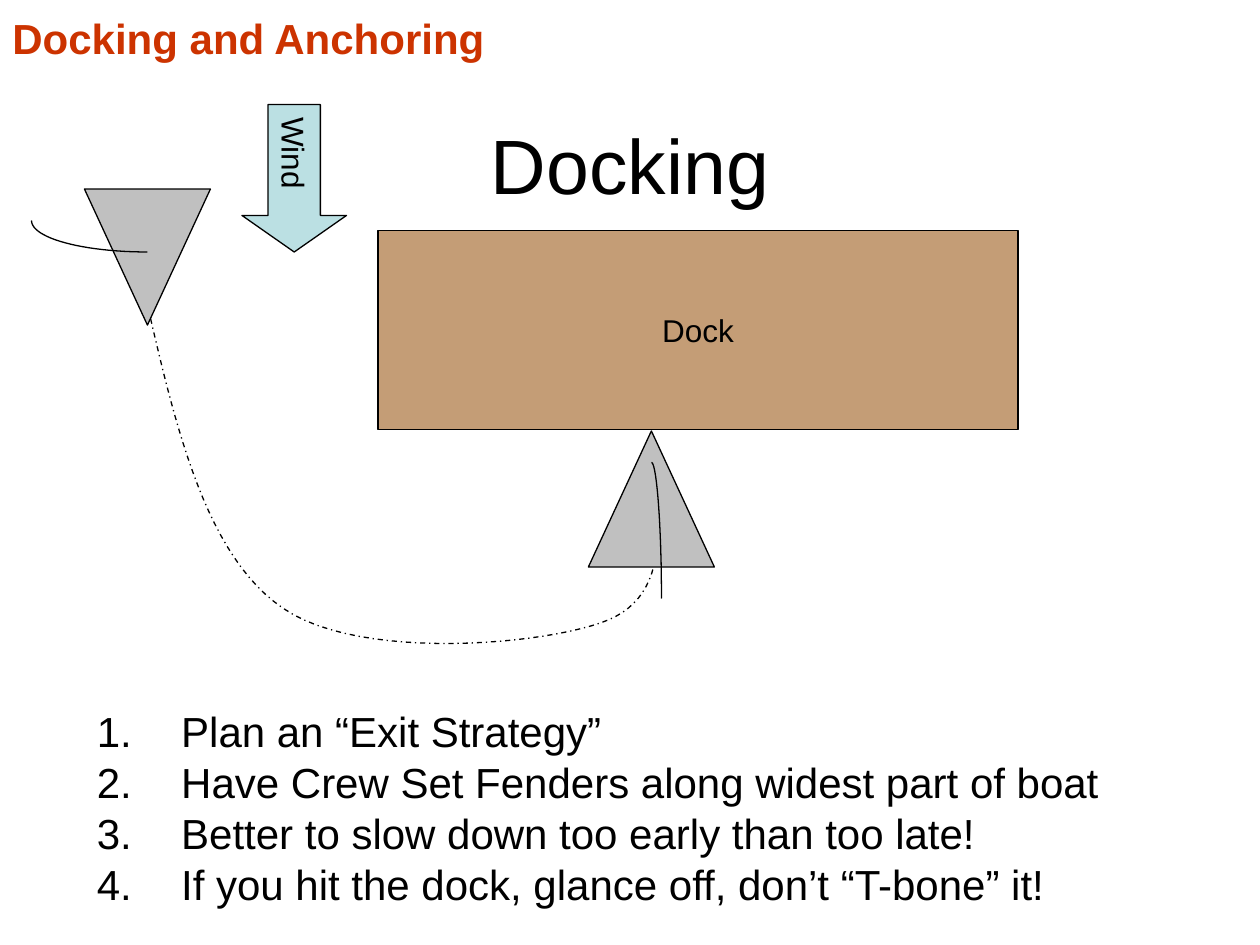
from dataclasses import dataclass

from lxml import etree
from pptx import Presentation
from pptx import util as u
from pptx.dml.color import RGBColor
from pptx.enum import dml, shapes, text
from pptx.oxml.ns import qn


@dataclass(frozen=True)
class Theme:
    font: str = "Arial"
    black: str = "000000"
    heading: str = "CC3300"
    dock: str = "C49D76"
    wind: str = "BBE0E3"
    boat: str = "C0C0C0"
    title_size: int = 44
    body_size: int = 24
    label_size: int = 18
    line_width: float = 0.75


THEME = Theme()
STEPS = [
    "Plan an “Exit Strategy”",
    "Have Crew Set Fenders along widest part of boat",
    "Better to slow down too early than too late!",
    "If you hit the dock, glance off, don’t “T-bone” it!",
]


def number_paragraph(paragraph, indent):
    properties = paragraph._p.get_or_add_pPr()
    properties.set("marL", str(u.Inches(indent)))
    properties.set("indent", str(-u.Inches(indent)))
    etree.SubElement(properties, qn("a:buFont"), typeface="+mj-lt")
    etree.SubElement(properties, qn("a:buAutoNum"), type="arabicPeriod")


def write_text(shape, lines, size, color=THEME.black, bold=False, align=text.PP_ALIGN.LEFT,
               anchor=text.MSO_ANCHOR.MIDDLE, wrap=True, numbered=False):
    frame = shape.text_frame
    frame.word_wrap = wrap
    frame.vertical_anchor = anchor
    for index, line in enumerate(lines):
        paragraph = frame.add_paragraph() if index else frame.paragraphs[0]
        paragraph.text = line
        paragraph.alignment = align
        if numbered:
            paragraph.line_spacing = 0.8
            paragraph.space_before = u.Pt(6 if index else 0)
            number_paragraph(paragraph, 0.67)
        font = paragraph.font
        font.name, font.size, font.bold = THEME.font, u.Pt(size), bold
        font.color.rgb = RGBColor.from_string(color)


def add_text(slide, box, lines, size, **text_format):
    shape = slide.shapes.add_textbox(*map(u.Inches, box))
    write_text(shape, lines, size, **text_format)


def outline(shape, dash=None):
    shape.shadow.inherit = False
    shape.line.color.rgb = RGBColor.from_string(THEME.black)
    shape.line.width = u.Pt(THEME.line_width)
    if dash:
        shape.line.dash_style = dash


def add_filled(slide, kind, box, fill, rotation=0):
    shape = slide.shapes.add_shape(kind, *map(u.Inches, box))
    shape.fill.solid()
    shape.fill.fore_color.rgb = RGBColor.from_string(fill)
    shape.rotation = rotation
    outline(shape)
    return shape


def bezier_points(start, control_1, control_2, end, steps=24):
    for step in range(1, steps + 1):
        t = step / steps
        weights = ((1 - t) ** 3, 3 * t * (1 - t) ** 2, 3 * t * t * (1 - t), t ** 3)
        corners = (start, control_1, control_2, end)
        yield tuple(u.Inches(sum(w * corner[axis] for w, corner in zip(weights, corners)))
                    for axis in (0, 1))


def add_curve(slide, start, segments, dash=None):
    builder = slide.shapes.build_freeform(*map(u.Inches, start))
    for segment in segments:
        builder.add_line_segments(bezier_points(start, *segment), close=False)
        start = segment[-1]
    shape = builder.convert_to_shape()
    shape.fill.background()
    outline(shape, dash)


def add_wind(slide):
    arrow = add_filled(slide, shapes.MSO_SHAPE.UP_ARROW, (1.92, 0.83, 0.83, 1.17),
                       THEME.wind, rotation=180)
    arrow.adjustments[0], arrow.adjustments[1] = 0.5, 0.35
    write_text(arrow, ["Wind"], THEME.label_size, align=text.PP_ALIGN.CENTER, wrap=False)
    frame = arrow.text_frame
    frame.margin_left = frame.margin_right = u.Inches(0.05)
    frame.margin_top = frame.margin_bottom = u.Inches(0.1)
    # Turn the label back so that it reads downwards
    body = frame._txBody.bodyPr
    body.set("rot", "10800000")
    body.set("vert", "eaVert")


def main():
    presentation = Presentation()
    presentation.slide_width, presentation.slide_height = u.Inches(10), u.Inches(7.5)
    slide = presentation.slides.add_slide(presentation.slide_layouts[6])

    # Title and numbered steps
    add_text(slide, (0.5, 0.67, 9, 1.25), ["Docking"], THEME.title_size,
             align=text.PP_ALIGN.CENTER)
    add_text(slide, (0.67, 5.63, 9, 2.45), STEPS, THEME.body_size,
             anchor=text.MSO_ANCHOR.TOP, numbered=True)

    # Dock and wind
    dock = add_filled(slide, shapes.MSO_SHAPE.RECTANGLE, (3, 1.83, 5.08, 1.58), THEME.dock)
    write_text(dock, ["Dock"], THEME.label_size, align=text.PP_ALIGN.CENTER, wrap=False)
    add_wind(slide)

    # Course of the boat, behind both boat positions
    add_curve(slide, (1.17, 2.42), [
        ((1.4, 3.42), (1.64, 4.42), (2.25, 4.83)),
        ((2.86, 5.25), (4.35, 5.12), (4.83, 4.92)),
        ((5.32, 4.71), (5.24, 4.15), (5.17, 3.58)),
    ], dash=dml.MSO_LINE.DASH_DOT)

    # Boat at the dock and boat at the start
    for left, top, rotation in ((4.67, 3.42, 0), (0.67, 1.5, 180)):
        add_filled(slide, shapes.MSO_SHAPE.ISOSCELES_TRIANGLE, (left, top, 1, 1.08),
                   THEME.boat, rotation)

    # Sails
    add_curve(slide, (1.17, 2), [((0.66, 2), (0.25, 1.89), (0.25, 1.75))])
    add_curve(slide, (5.17, 3.67), [((5.21, 3.67), (5.25, 4.15), (5.25, 4.75))])

    # Section heading
    add_text(slide, (0, 0, 5.08, 0.59), ["Docking and Anchoring"], THEME.body_size,
             color=THEME.heading, bold=True)

    presentation.save("out.pptx")


if __name__ == "__main__":
    main()
